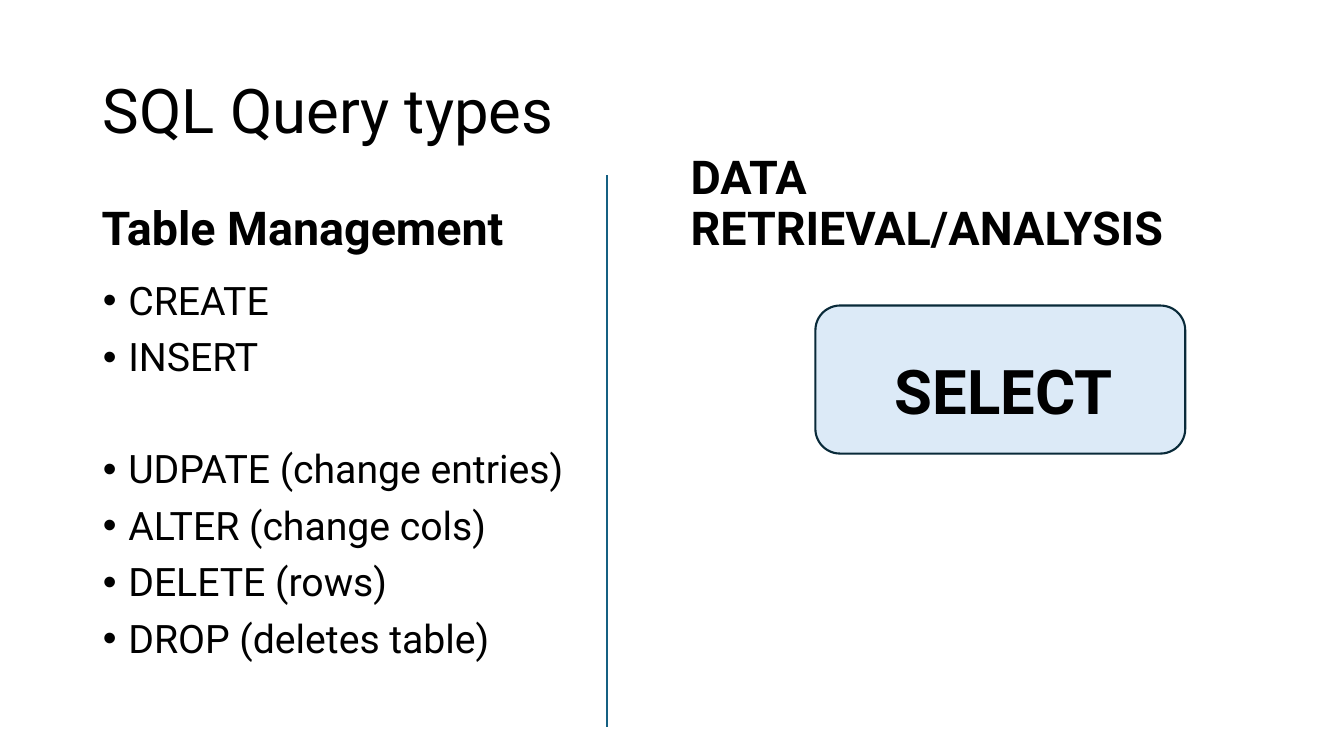
from lxml import etree
from pptx import Presentation
from pptx.dml.color import RGBColor
from pptx.enum.shapes import MSO_CONNECTOR, MSO_SHAPE
from pptx.enum.text import MSO_ANCHOR, MSO_AUTO_SIZE, PP_ALIGN
from pptx.oxml.ns import qn
from pptx.util import Cm, Pt

COLORS = {"text": "000000", "panel": "DCEAF7", "border": "092A39", "divider": "156082"}
TITLE = {"size": Pt(44), "bold": False}
HEADING = {"size": Pt(33.3), "bold": True}
ITEM = {"size": Pt(28), "bold": False}
KEYWORD = {"size": Pt(44), "bold": True}

LIST_GAP = 10
GROUP_GAP = 50
COMMANDS = [
    ("CREATE", LIST_GAP),
    ("INSERT", LIST_GAP),
    ("UDPATE (change entries)", GROUP_GAP),
    ("ALTER (change cols)", LIST_GAP),
    ("DELETE (rows)", LIST_GAP),
    ("DROP (deletes table)", LIST_GAP),
]


class SlideBuilder:
    def __init__(self, slide, font="Roboto"):
        self.slide = slide
        self.font = font

    def color(self, name):
        return RGBColor.from_string(COLORS[name])

    def placeholder(self, idx, box, paragraphs, style, anchor, bullet=False, top=0.13):
        """Place a template placeholder and fill it with (text, space before) pairs."""
        sp = self.slide.placeholders[idx]
        sp.left, sp.top, sp.width, sp.height = map(Cm, box)
        tf = sp.text_frame
        frame = {"word_wrap": True, "auto_size": MSO_AUTO_SIZE.NONE,
                 "vertical_anchor": anchor, "margin_top": Cm(top)}
        for name, value in frame.items():
            setattr(tf, name, value)
        for i, (text, gap) in enumerate(paragraphs):
            p = tf.add_paragraph() if i else tf.paragraphs[0]
            spacing = {"alignment": PP_ALIGN.LEFT, "line_spacing": 0.9,
                       "space_before": Pt(gap), "space_after": Pt(0)}
            for name, value in spacing.items():
                setattr(p, name, value)
            self.bullet(p, bullet)
            r = p.add_run()
            r.text = text
            for name, value in {**style, "name": self.font}.items():
                setattr(r.font, name, value)
            r.font.color.rgb = self.color("text")

    def bullet(self, p, shown):
        pPr = p._p.get_or_add_pPr()
        indent = Cm(0.64) if shown else 0
        pPr.set("marL", str(indent))
        pPr.set("indent", str(-indent))
        if shown:
            etree.SubElement(pPr, qn("a:buFont")).set("typeface", "Arial")
            etree.SubElement(pPr, qn("a:buChar")).set("char", "•")
        else:
            etree.SubElement(pPr, qn("a:buNone"))

    def panel(self, box):
        """Draw a rounded panel behind the text."""
        sp = self.slide.shapes.add_shape(MSO_SHAPE.ROUNDED_RECTANGLE, *map(Cm, box))
        sp.shadow.inherit = False
        sp.fill.solid()
        sp.fill.fore_color.rgb = self.color("panel")
        sp.line.color.rgb = self.color("border")
        sp.line.width = Pt(1.5)
        self.slide.shapes.title.element.addprevious(sp.element)

    def divider(self, x, top, bottom):
        line = self.slide.shapes.add_connector(
            MSO_CONNECTOR.STRAIGHT, Cm(x), Cm(top), Cm(x), Cm(bottom))
        line.line.color.rgb = self.color("divider")
        line.line.width = Pt(1.5)
        etree.SubElement(line.element.spPr, qn("a:effectLst"))


def main():
    prs = Presentation()
    prs.slide_width, prs.slide_height = Cm(33.87), Cm(19.05)
    comparison = prs.slide_layouts[5 - 1]
    s = SlideBuilder(prs.slides.add_slide(comparison))

    s.panel((20.55, 7.7, 9.32, 3.73))
    s.placeholder(0, (2.34, 1.02, 29.21, 3.68), [("SQL Query types", 0)],
                  TITLE, MSO_ANCHOR.MIDDLE)
    s.placeholder(1, (2.31, 4.27, 14.33, 2.29), [("Table Management", LIST_GAP)],
                  HEADING, MSO_ANCHOR.BOTTOM)
    s.placeholder(2, (2.34, 6.96, 14.33, 10.24), COMMANDS,
                  ITEM, MSO_ANCHOR.TOP, bullet=True)
    s.placeholder(3, (17.15, 4.27, 15.4, 2.29), [("DATA RETRIEVAL/ANALYSIS", LIST_GAP)],
                  HEADING, MSO_ANCHOR.BOTTOM)
    s.placeholder(4, (22.3, 6.71, 14.4, 10.24), [("SELECT", LIST_GAP)],
                  KEYWORD, MSO_ANCHOR.TOP, top=2.4)
    s.divider(15.29, 4.42, 18.31)
    prs.save("out.pptx")


if __name__ == "__main__":
    main()
